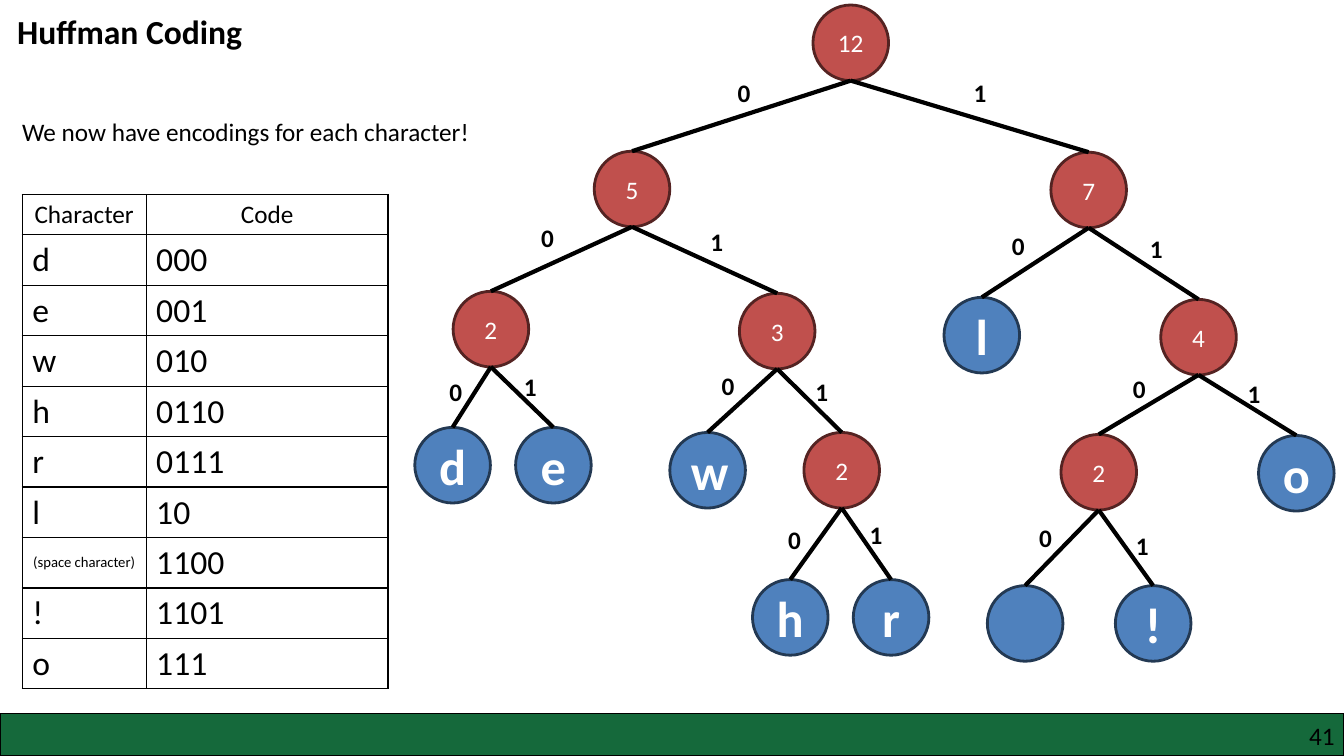
from itertools import product
from lxml.etree import SubElement
from pptx import Presentation
from pptx.dml.color import RGBColor
from pptx.enum.shapes import MSO_CONNECTOR, MSO_SHAPE
from pptx.enum.text import MSO_ANCHOR, PP_ALIGN
from pptx.oxml.ns import qn
from pptx.util import Inches, Pt

COLORS = {
    "band": "15693B", "black": "000000", "white": "FFFFFF",
    "leaf": "4F81BD", "leaf_line": "233953",
    "inner": "C0504D", "inner_line": "542322",
}
CELL = 0.1
COLS, ROWS = 133.33, 75
NODE = 7.5
LABEL = (3.4, 4)
FORMATS = {
    "title": dict(size=Pt(24), bold=True),
    "text": dict(size=Pt(18), bold=False),
    "label": dict(size=Pt(18), bold=True),
    "leaf": dict(size=Pt(36), bold=True),
    "inner": dict(size=Pt(18), bold=False),
    "code": dict(size=Pt(24), bold=False),
    "small": dict(size=Pt(10.5), bold=False),
}
CODES = [
    ("Character", "Code"), ("d", "000"), ("e", "001"), ("w", "010"),
    ("h", "0110"), ("r", "0111"), ("l", "10"),
    ("(space character)", "1100"), ("!", "1101"), ("o", "111"),
]


def leaf(text, x, y):
    """Describe a leaf by its letter, centre column and top row."""
    return dict(kind="leaf", text=text, x=x, y=y, branches=[])


def inner(text, x, y, *branches):
    """Describe an inner node; each branch is a child and its label place."""
    return dict(kind="inner", text=text, x=x, y=y, branches=branches)


TREE = inner(
    "12", 84.4, 0.5,
    (inner("5", 62.7, 15,
           (inner("2", 48.7, 28.9,
                  (leaf("d", 44.9, 42.4), (43.6, 36.8)),
                  (leaf("e", 54.9, 42.4), (51, 36.3))), (52.7, 21.6)),
           (inner("3", 77.1, 29.1,
                  (leaf("w", 70.2, 42.9), (70.6, 36.2)),
                  (inner("2", 83.5, 42.9,
                         (leaf("h", 78.4, 57.5), (77.2, 51.5)),
                         (leaf("r", 88.4, 57.5), (85.3, 51))),
                   (79.9, 36.8))), (69.5, 22))), (72.2, 7.2)),
    (inner("7", 108, 15.1,
           (leaf("l", 97.4, 29.5), (99.4, 22.4)),
           (inner("4", 118.9, 29.7,
                  (inner("2", 109, 43.1,
                         (leaf("", 101.7, 58.1), (102.1, 51.3)),
                         (leaf("!", 114.4, 58.1), (111.7, 52.1))),
                   (111.4, 36.5)),
                  (leaf("o", 128.6, 43.2), (122.8, 37))),
            (113.1, 22.7))), (95.6, 7.2)))


def grid(*cells):
    """Turn grid columns or rows into lengths."""
    return [Inches(n * CELL) for n in cells]


def rgb(name):
    """Look up a named colour."""
    return RGBColor.from_string(COLORS[name])


def write(tf, text, fmt, color="black", align=PP_ALIGN.LEFT):
    """Write one formatted paragraph into a text frame."""
    p = tf.paragraphs[0]
    p.alignment = align
    r = p.add_run()
    r.text = text
    r.font.name = "Calibri"
    r.font.color.rgb = rgb(color)
    for name, value in FORMATS[fmt].items():
        setattr(r.font, name, value)


def add_title(s, text, box):
    """Place the title placeholder and fill it."""
    sp = s.shapes.title
    for name, value in zip(("left", "top", "width", "height"), grid(*box)):
        setattr(sp, name, value)
    sp.text_frame.vertical_anchor = MSO_ANCHOR.TOP
    write(sp.text_frame, text, "title")


def add_text(s, text, box, fmt="text", align=PP_ALIGN.LEFT, margins=None):
    """Add a text box."""
    tf = s.shapes.add_textbox(*grid(*box)).text_frame
    tf.word_wrap = True
    for side, value in (margins or {}).items():
        setattr(tf, side, value)
    write(tf, text, fmt, align=align)


def add_shape(s, preset, box, fill, line, weight):
    """Add a filled and outlined shape without shadow."""
    sp = s.shapes.add_shape(preset, *grid(*box))
    sp.shadow.inherit = False
    sp.fill.solid()
    sp.fill.fore_color.rgb = rgb(fill)
    sp.line.color.rgb = rgb(line)
    sp.line.width = Pt(weight)
    return sp


def add_edge(s, start, end):
    """Add a black line between two grid points."""
    cn = s.shapes.add_connector(MSO_CONNECTOR.STRAIGHT, *grid(*start, *end))
    cn.line.color.rgb = rgb("black")
    cn.line.width = Pt(3)
    SubElement(cn._element.spPr, qn("a:effectLst"))


def add_node(s, node):
    """Draw a node, then its branches with their bit labels."""
    x, y, kind = node["x"], node["y"], node["kind"]
    sp = add_shape(s, MSO_SHAPE.OVAL, (x - NODE / 2, y, NODE, NODE),
                   kind, f"{kind}_line", 2)
    if node["text"]:
        sp.text_frame.vertical_anchor = MSO_ANCHOR.MIDDLE
        write(sp.text_frame, node["text"], kind, "white", PP_ALIGN.CENTER)
    for bit, (child, place) in enumerate(node["branches"]):
        add_node(s, child)
        add_edge(s, (x, y + NODE), (child["x"], child["y"]))
        add_text(s, str(bit), (*place, *LABEL), "label")


def format_cell(cell):
    """Give a cell black borders and a white fill."""
    tcPr = cell._tc.get_or_add_tcPr()
    for side in ("lnL", "lnR", "lnT", "lnB"):
        ln = SubElement(tcPr, qn(f"a:{side}"), w=str(Pt(1)))
        fill = SubElement(ln, qn("a:solidFill"))
        SubElement(fill, qn("a:srgbClr"), val=COLORS["black"])
    cell.fill.solid()
    cell.fill.fore_color.rgb = rgb("white")


def add_codes(s, rows, box, widths, heights):
    """Add the table of character codes."""
    tbl = s.shapes.add_table(len(rows), len(widths), *grid(*box)).table
    tbl.first_row = tbl.horz_banding = False
    for col, width in zip(tbl.columns, grid(*widths)):
        col.width = width
    for row, height in zip(tbl.rows, grid(*heights)):
        row.height = height
    for i, j in product(range(len(rows)), range(len(widths))):
        cell, text = tbl.cell(i, j), rows[i][j]
        format_cell(cell)
        small = text.startswith("(")
        fmt = "text" if i == 0 else "small" if small else "code"
        if small:
            cell.vertical_anchor = MSO_ANCHOR.MIDDLE
        align = PP_ALIGN.CENTER if i == 0 or small else PP_ALIGN.LEFT
        write(cell.text_frame, text, fmt, align=align)


def main():
    """Build the Huffman coding slide."""
    prs = Presentation()
    prs.slide_width, prs.slide_height = grid(COLS, ROWS)
    s = prs.slides.add_slide(prs.slide_layouts[5])
    add_shape(s, MSO_SHAPE.RECTANGLE, (0, 70.8, COLS, 4.2), "band", "black", 1)
    flush = dict.fromkeys(
        ("margin_left", "margin_right", "margin_top", "margin_bottom"), 0)
    add_text(s, "41", (101.7, 71.5, 30.7, 3), align=PP_ALIGN.RIGHT, margins=flush)
    add_title(s, "Huffman Coding", (0.7, 0.6, 28.2, 5))
    add_text(s, "We now have encodings for each character!", (1.2, 11.1, 51.2, 4))
    add_codes(s, CODES, (2.2, 19.3, 36.3, 49), (12.3, 24),
              [4] + [5] * (len(CODES) - 1))
    add_node(s, TREE)
    prs.save("out.pptx")


if __name__ == "__main__":
    main()
